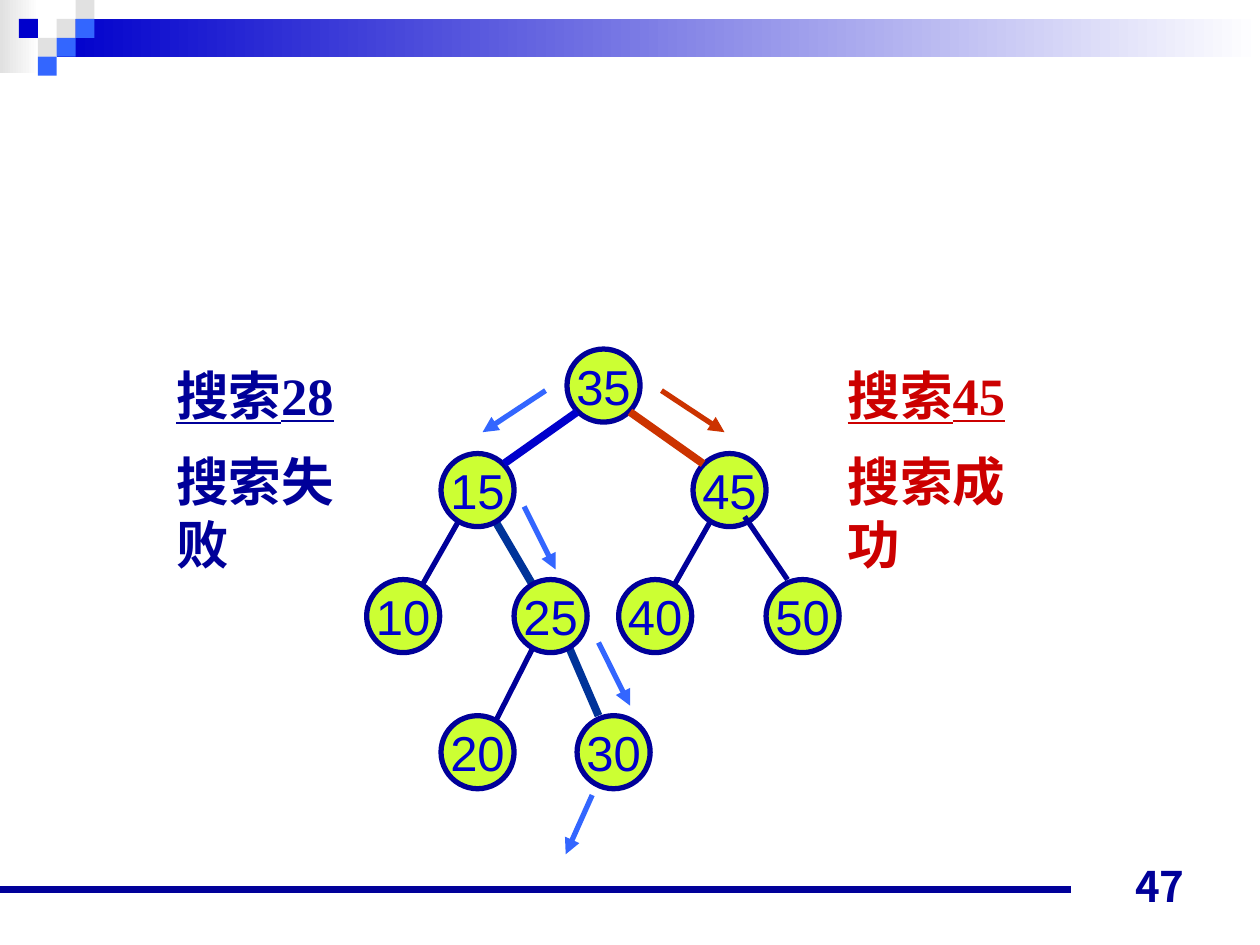
from lxml import etree
from pptx import Presentation
from pptx.dml.color import RGBColor
from pptx.enum.shapes import MSO_CONNECTOR, MSO_SHAPE
from pptx.enum.text import MSO_ANCHOR, PP_ALIGN
from pptx.oxml.ns import qn
from pptx.util import Inches, Pt

RECT, OVAL = MSO_SHAPE.RECTANGLE, MSO_SHAPE.OVAL
STRAIGHT = MSO_CONNECTOR.STRAIGHT
LEFT, MID, RIGHT = PP_ALIGN.LEFT, PP_ALIGN.CENTER, PP_ALIGN.RIGHT
TOP, CENTRE, BOTTOM = MSO_ANCHOR.TOP, MSO_ANCHOR.MIDDLE, MSO_ANCHOR.BOTTOM

NAVY, BLUE, SKY, STEEL = "000099", "0000CC", "3366FF", "003399"
RED, RUST, LIME = "CC0000", "CC3300", "CCFF33"
GREY, WHITE = "E1E1E1", "FFFFFF"
SANS, SERIF, CJK = "Arial", "Times New Roman", "Noto Sans CJK JP"


def rgb(code):
    return RGBColor.from_string(code)


def write(shape, lines, size, color, font=SANS, bold=False, align=LEFT,
          anchor=TOP, wrap=False, gap=0, under=False):
    """Fill a shape with lines; under underlines the first one."""
    frame = shape.text_frame
    frame.word_wrap = wrap
    frame.vertical_anchor = anchor
    for i, line in enumerate(lines):
        para = frame.paragraphs[0] if i == 0 else frame.add_paragraph()
        para.alignment = align
        if i:
            para.space_before = Pt(gap)
        run = para.add_run()
        run.text = line
        run.font.size, run.font.name = Pt(size), font
        run.font.bold = bold
        run.font.underline = under and i == 0
        run.font.color.rgb = rgb(color)


def draw(slide, kind, x, y, w, h, fill, edge=None, fade=False):
    """Add a preset shape; fade runs its fill to white on the right."""
    shape = slide.shapes.add_shape(kind, Inches(x), Inches(y), Inches(w), Inches(h))
    shape.shadow.inherit = False
    if fade:
        shape.fill.gradient()
        shape.fill.gradient_angle = 180
        for stop, color, spot in zip(shape.fill.gradient_stops, (WHITE, fill), (0, 1)):
            stop.color.rgb, stop.position = rgb(color), spot
    else:
        shape.fill.solid()
        shape.fill.fore_color.rgb = rgb(fill)
    if edge:
        shape.line.color.rgb, shape.line.width = rgb(edge), Pt(3)
    else:
        shape.line.fill.background()
    return shape


def link(slide, x1, y1, x2, y2, color, width=3, arrow=False):
    line = slide.shapes.add_connector(
        STRAIGHT, Inches(x1), Inches(y1), Inches(x2), Inches(y2))
    line.line.color.rgb, line.line.width = rgb(color), Pt(width)
    if arrow:
        etree.SubElement(line.line._get_or_add_ln(), qn("a:tailEnd"), type="triangle")
    etree.SubElement(line._element.spPr, qn("a:effectLst"))


def add_band(slide, x, y, w):
    """Faded header bar with a checker of small squares."""
    side = 0.15
    draw(slide, RECT, x, y, 0.31, 0.58, GREY, fade=True)
    draw(slide, RECT, x + 3 * side, y + side, w - 3 * side, 2 * side, BLUE, fade=True)
    tiles = [(3, 1, GREY), (4, 0, GREY), (4, 1, SKY), (2, 2, GREY),
             (1, 1, BLUE), (3, 2, SKY), (2, 3, SKY)]
    for col, row, color in tiles:
        draw(slide, RECT, x + col * side, y + row * side, side, side, color)


def add_note(slide, x, y, w, h, lines, color):
    box = slide.shapes.add_textbox(Inches(x), Inches(y), Inches(w), Inches(h))
    write(box, lines, 30, color, font=SERIF, bold=True, gap=13.1, under=True)


def add_tree(slide, x, y):
    """Search tree with its two search paths."""
    size = 0.58
    under = [(2.75, 1.33, 2.42, 1.91, NAVY, 3), (1.59, 2.33, 1.84, 2.91, STEEL, 4.5),
             (1.34, 2.33, 1, 3, NAVY, 3), (0.75, 1.33, 0.42, 1.91, NAVY, 3),
             (1, 1.33, 1.34, 1.91, STEEL, 4.5)]
    over = [(1.67, 0.5, 1.09, 0.91, BLUE, 4.5), (2.09, 0.5, 2.67, 0.91, RUST, 4.5),
            (3, 1.33, 3.34, 1.83, NAVY, 3)]
    steps = [(2.34, 0.33, 2.84, 0.66, RUST), (1.42, 0.33, 0.92, 0.66, SKY),
             (1.25, 1.25, 1.5, 1.75, SKY), (1.84, 2.33, 2.09, 2.83, SKY),
             (1.79, 3.54, 1.58, 4.01, SKY)]
    rows = [(0, {35: 1.59}), (0.83, {15: 0.59, 45: 2.59}),
            (1.83, {10: 0, 25: 1.17, 40: 2, 50: 3.17}), (2.91, {20: 0.59, 30: 1.67})]

    def join(x1, y1, x2, y2, color, width=3, arrow=False):
        link(slide, x + x1, y + y1, x + x2, y + y2, color, width, arrow)

    for edge in under:
        join(*edge)
    for down, nodes in rows:
        for key, across in nodes.items():
            node = draw(slide, OVAL, x + across, y + down, size, size, LIME, edge=NAVY)
            write(node, [str(key)], 28, BLUE, align=MID, anchor=CENTRE)
    for edge in over:
        join(*edge)
    for step in steps:
        join(*step, arrow=True)


def add_foot(slide, x, y, w):
    """Rule and page number."""
    link(slide, x, y, x + w, y, NAVY, 4.5)
    box = slide.shapes.add_textbox(Inches(7.17), Inches(6.78), Inches(2.33), Inches(0.5))
    write(box, ["47"], 24, NAVY, font=CJK, bold=True, align=RIGHT,
          anchor=BOTTOM, wrap=True)


def main():
    deck = Presentation()
    deck.slide_width, deck.slide_height = Inches(10), Inches(7.5)
    slide = deck.slides.add_slide(deck.slide_layouts[6])
    add_band(slide, 0, 0, 10)
    add_foot(slide, 0, 7.06, 8.5)
    add_note(slide, 6.63, 2.83, 1.86, 1.29, ["搜索45", "搜索成功"], RED)
    add_note(slide, 1.3, 2.83, 1.86, 1.29, ["搜索28", "搜索失败"], NAVY)
    add_tree(slide, 2.91, 2.77)
    deck.save("out.pptx")


if __name__ == "__main__":
    main()
